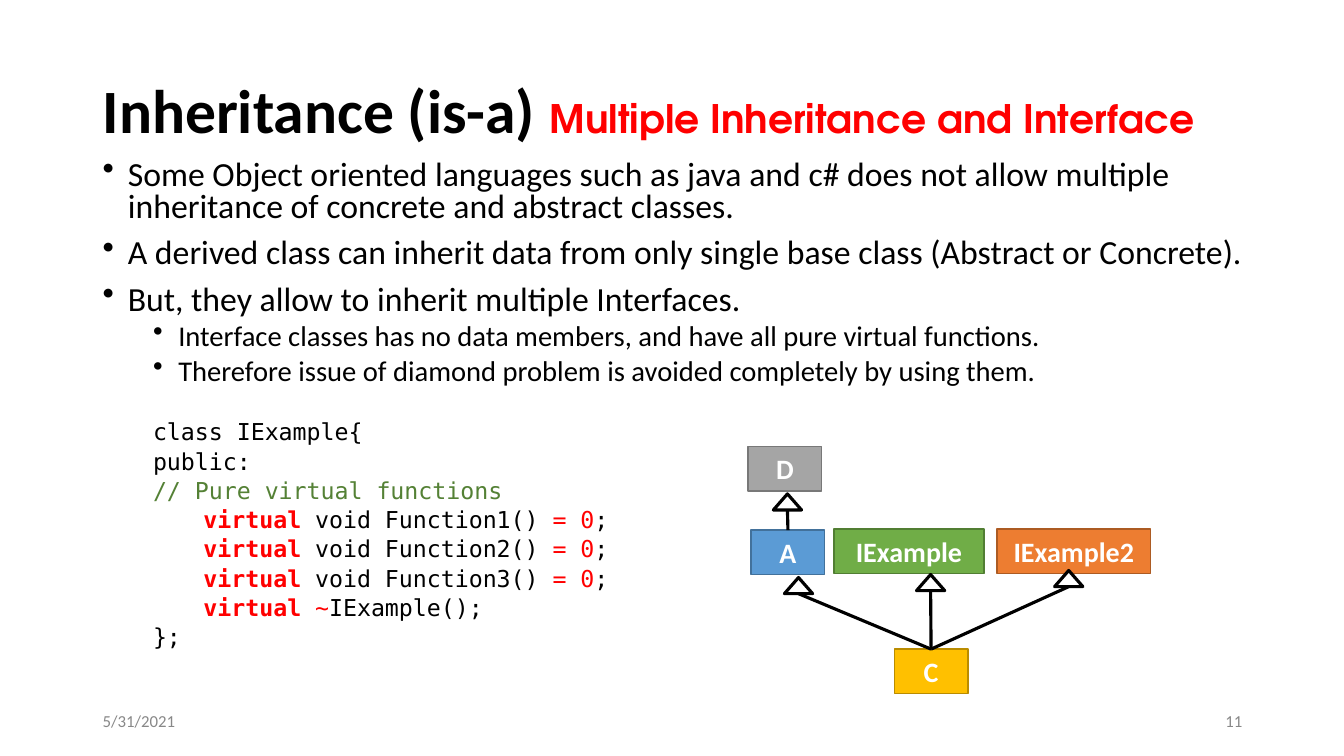
import pptx
import pptx.dml.color
import pptx.enum.shapes
import pptx.enum.text
import pptx.oxml.ns
import pptx.util
from lxml import etree
from pptx.util import Inches

Shape = pptx.enum.shapes.MSO_SHAPE
Align = pptx.enum.text.PP_ALIGN
Anchor = pptx.enum.text.MSO_ANCHOR
qn = pptx.oxml.ns.qn

COLOURS = {
    "black": "000000", "white": "FFFFFF", "red": "FF0000",
    "comment": "548135", "footer": "888888",
    "grey": "A5A5A5", "grey edge": "787878",
    "blue": "5B9BD5", "blue edge": "42719B",
    "green": "70AD47", "green edge": "517E33",
    "orange": "ED7D31", "orange edge": "AC5B23",
    "gold": "FFC000", "gold edge": "BA8C00",
}
SANS, MONO, DISPLAY = "Calibri", "DejaVu Sans Mono", "TeX Gyre Adventor"

POINTS = [  # text, size, left indent, space before
    ("Some Object oriented languages such as java and c# does not allow "
     "multiple inheritance of concrete and abstract classes.", 24.1, 0.25, 0),
    ("A derived class can inherit data from only single base class "
     "(Abstract or Concrete).", 24.1, 0.25, 10),
    ("But, they allow to inherit multiple Interfaces.", 24.1, 0.25, 10),
    ("Interface classes has no data members, and have all pure virtual "
     "functions.", 20.4, 0.75, 5),
    ("Therefore issue of diamond problem is avoided completely by using "
     "them.", 20.4, 0.75, 5),
]

CLASS_BOXES = [  # name, left, top, width, colour
    ("D", 7.42, 4.43, 0.73, "grey"),
    ("A", 7.45, 5.26, 0.73, "blue"),
    ("IExample", 8.27, 5.25, 1.49, "green"),
    ("IExample2", 9.89, 5.25, 1.52, "orange"),
    ("C", 8.87, 6.44, 0.73, "gold"),
]
BOX_HEIGHT = 0.44

INHERITANCE = [  # derived class, left and top of the arrowhead
    ("A", 7.67, 4.9),
    ("C", 7.78, 5.73),
    ("C", 9.09, 5.7),
    ("C", 10.46, 5.66),
]
HEAD_WIDTH, HEAD_HEIGHT = 0.28, 0.16


def rgb(name):
    return pptx.dml.color.RGBColor.from_string(COLOURS[name])


def add_span(para, text, size, colour="black", bold=False, face=SANS):
    span = para.add_run()
    span.text = text
    span.font.size = pptx.util.Pt(size)
    span.font.name = face
    span.font.bold = bold
    span.font.color.rgb = rgb(colour)


def add_text_box(page, left, top, width, height, anchor=Anchor.MIDDLE):
    frame = page.shapes.add_textbox(
        Inches(left), Inches(top), Inches(width), Inches(height)).text_frame
    frame.word_wrap = True
    frame.vertical_anchor = anchor
    return frame


def add_body_para(frame, indent, before, bullet=False):
    first = frame.paragraphs[0]
    para = frame.add_paragraph() if first.runs else first
    para.line_spacing = 0.8
    para.space_before = pptx.util.Pt(before)
    properties = para._p.get_or_add_pPr()
    properties.set("marL", str(Inches(indent)))
    properties.set("indent", str(Inches(-0.25 if bullet else 0)))
    if bullet:
        colour = etree.SubElement(properties, qn("a:buClr"))
        etree.SubElement(colour, qn("a:srgbClr"), val=COLOURS["black"])
        etree.SubElement(properties, qn("a:buChar"), char="•")
    return para


def add_code_line(frame, spans, indent=0.5, before=5):
    para = add_body_para(frame, indent, before)
    for text, colour, bold in spans:
        add_span(para, text, 16.6, colour, bold, MONO)


def add_code(frame):
    add_code_line(frame, [("class IExample{", "black", False)], before=26)
    add_code_line(frame, [("public:", "black", False)])
    add_code_line(frame, [("// Pure virtual functions", "comment", False)])
    for number in range(1, 4):
        add_code_line(frame, [("virtual ", "red", True),
                              (f"void Function{number}() ", "black", False),
                              ("= 0", "red", False),
                              (";", "black", False)], indent=1)
    add_code_line(frame, [("virtual", "red", True), (" ~", "red", False),
                          ("IExample();", "black", False)], indent=1)
    add_code_line(frame, [("};", "black", False)])


def add_outlined(page, kind, left, top, width, height, fill, edge, weight):
    shape = page.shapes.add_shape(
        kind, Inches(left), Inches(top), Inches(width), Inches(height))
    shape.shadow.inherit = False
    shape.fill.solid()
    shape.fill.fore_color.rgb = rgb(fill)
    shape.line.color.rgb = rgb(edge)
    shape.line.width = pptx.util.Pt(weight)
    return shape


def add_class_box(page, name, left, top, width, colour):
    box = add_outlined(page, Shape.RECTANGLE, left, top, width, BOX_HEIGHT,
                       colour, f"{colour} edge", 1)
    box.text_frame.vertical_anchor = Anchor.MIDDLE
    para = box.text_frame.paragraphs[0]
    para.alignment = Align.CENTER
    add_span(para, name, 20, "white", True)
    return box


def add_inheritance(page, derived, left, top):
    add_outlined(page, Shape.ISOSCELES_TRIANGLE, left, top,
                 HEAD_WIDTH, HEAD_HEIGHT, "white", "black", 2.25)
    line = page.shapes.add_connector(
        pptx.enum.shapes.MSO_CONNECTOR.STRAIGHT, 0, 0,
        Inches(left + HEAD_WIDTH / 2), Inches(top + HEAD_HEIGHT))
    line.begin_connect(derived, 0)
    line.line.color.rgb = rgb("black")
    line.line.width = pptx.util.Pt(2.25)
    etree.SubElement(line._element.spPr, qn("a:effectLst"))


def add_footer(page, text, left, alignment):
    para = add_text_box(page, left, 6.95, 3, 0.4).paragraphs[0]
    para.alignment = alignment
    add_span(para, text, 12, "footer")


def main():
    deck = pptx.Presentation()
    deck.slide_width, deck.slide_height = Inches(13.33), Inches(7.5)
    page = deck.slides.add_slide(deck.slide_layouts[6])

    # Title
    title = add_text_box(page, 0.92, 0.4, 11.5, 1.45).paragraphs[0]
    title.line_spacing = 0.9
    add_span(title, "Inheritance (is-a) ", 44, bold=True)
    add_span(title, "Multiple Inheritance and Interface", 28, "red", True,
             DISPLAY)

    # Bullet points and code
    body = add_text_box(page, 0.92, 1.54, 11.76, 5.15, Anchor.TOP)
    for text, size, indent, before in POINTS:
        add_span(add_body_para(body, indent, before, True), text, size)
    add_code(body)

    # Class diagram
    boxes = {row[0]: add_class_box(page, *row) for row in CLASS_BOXES}
    for derived, left, top in INHERITANCE:
        add_inheritance(page, boxes[derived], left, top)

    # Footer
    add_footer(page, "5/31/2021", 0.92, Align.LEFT)
    add_footer(page, "11", 9.42, Align.RIGHT)

    deck.save("out.pptx")


if __name__ == "__main__":
    main()
